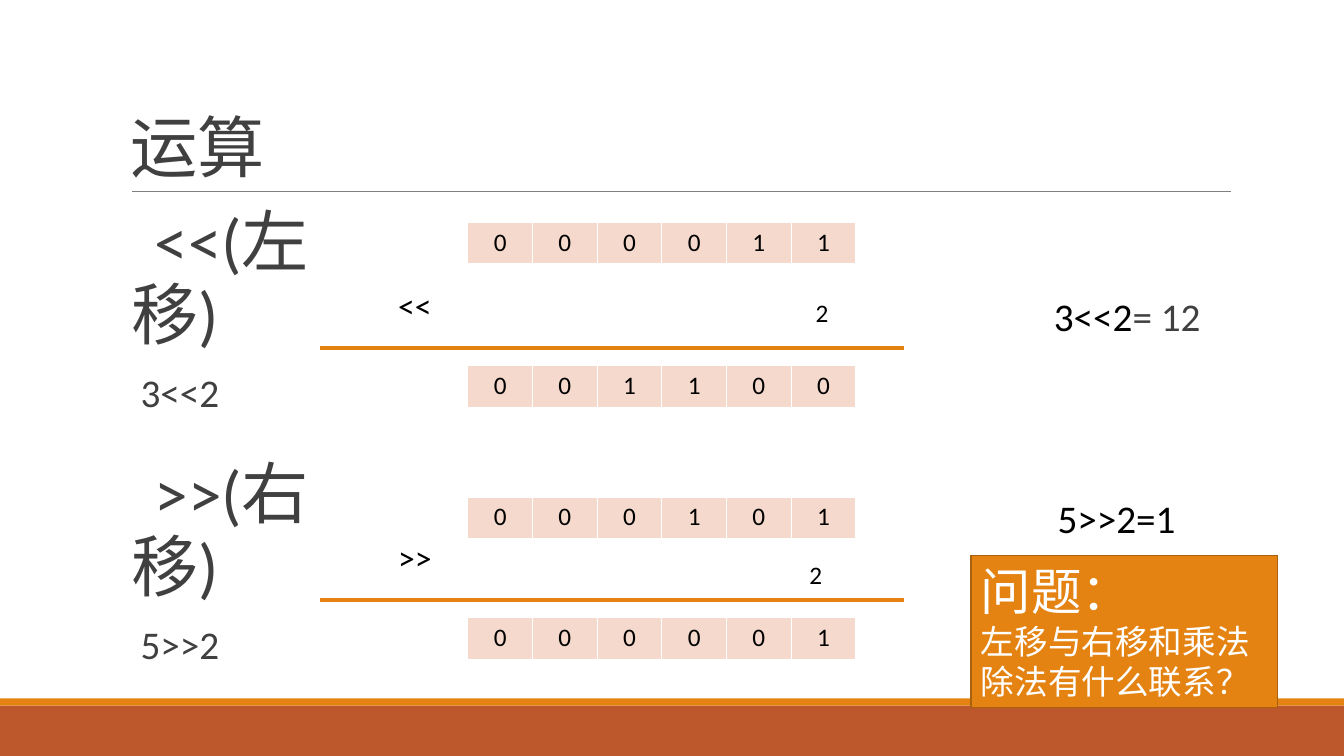
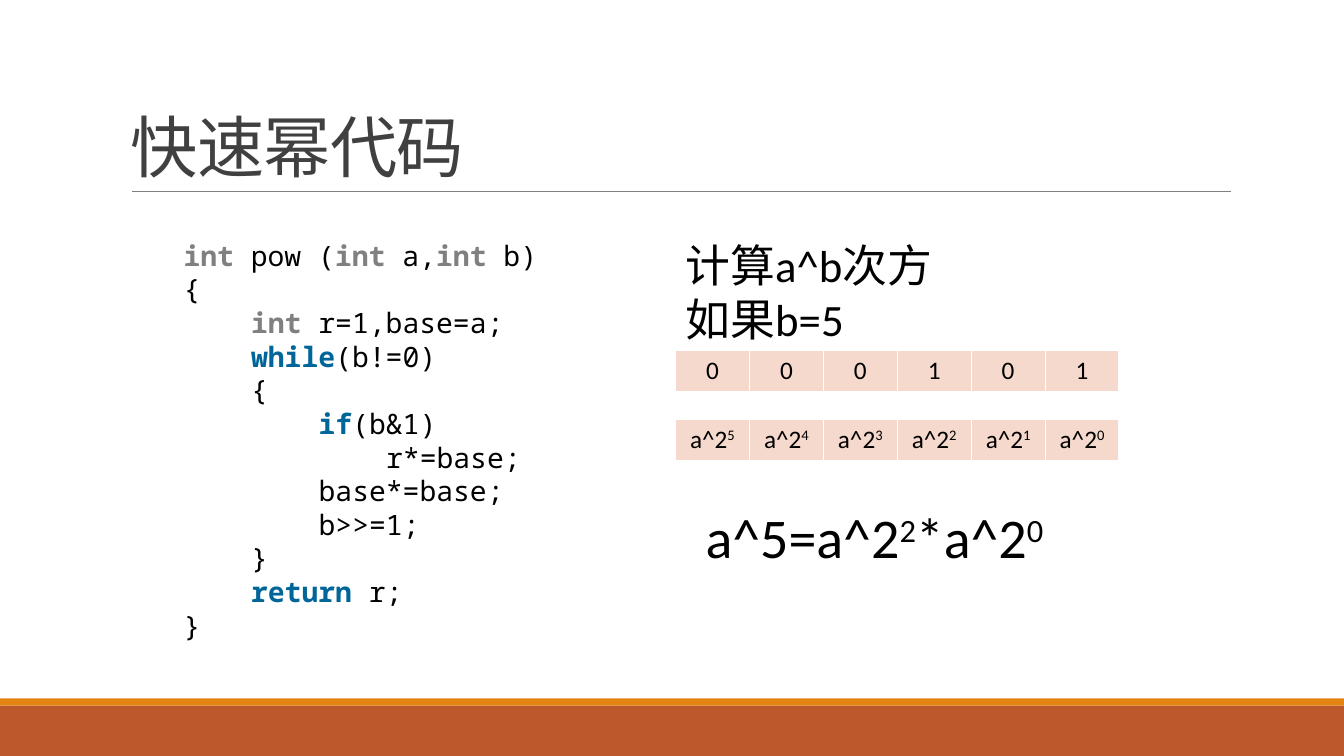
from lxml.etree import SubElement
from pptx import Presentation
from pptx.dml.color import RGBColor
from pptx.enum.shapes import MSO_CONNECTOR as Connector, MSO_SHAPE as Shape
from pptx.enum.text import MSO_ANCHOR as Anchor, PP_ALIGN as Align
from pptx.oxml.ns import qn
from pptx.util import Inches, Pt

RUST = RGBColor(0xBD, 0x58, 0x2C)
ORANGE = RGBColor(0xE4, 0x83, 0x12)
BROWN = RGBColor(0xA9, 0x61, 0x0D)
PEACH = RGBColor(0xF5, 0xD9, 0xCC)
GRAY = RGBColor(0x80, 0x80, 0x80)
CHARCOAL = RGBColor(0x40, 0x40, 0x40)
BLUE = RGBColor(0x00, 0x66, 0x99)
BLACK = RGBColor(0, 0, 0)
WHITE = RGBColor(0xFF, 0xFF, 0xFF)

BODY_FONT, TITLE_FONT, CODE_FONT = "Calibri", "Noto Sans CJK SC", "Noto Sans Mono"
PAGE_WIDTH, PAGE_HEIGHT = 13.33, 7.5
ROW_HEIGHT = 0.41
CODE_INDENT = 0.67
KEYWORDS = {"int": GRAY, "while": BLUE, "if": BLUE, "return": BLUE}
POWER_CODE = [
    (0, "int| pow (|int| a,|int| b)"),
    (0, "{"),
    (1, "int| r=1,base=a;"),
    (1, "while|(b!=0)"),
    (1, "{"),
    (2, "if|(b&1)"),
    (3, "r*=base;"),
    (2, "base*=base;"),
    (2, "b>>=1;"),
    (1, "}"),
    (1, "return| r;"),
    (0, "}"),
]


def add_text(slide, left, top, width, height, anchor=Anchor.TOP, side=0.1, edge=0.05):
    """Add a wrapping text box and return its text frame."""
    box = slide.shapes.add_textbox(Inches(left), Inches(top), Inches(width), Inches(height))
    frame = box.text_frame
    frame.word_wrap = True
    frame.vertical_anchor = anchor
    frame.margin_left = frame.margin_right = Inches(side)
    frame.margin_top = frame.margin_bottom = Inches(edge)
    return frame


def write(frame, pieces, size, color=BLACK, font=BODY_FONT):
    """Append a paragraph made of the given text pieces."""
    para = frame.add_paragraph() if frame.text else frame.paragraphs[0]
    para.alignment = Align.LEFT
    para.font.size = Pt(size)
    para.font.name = font
    para.font.color.rgb = color
    for piece in pieces:
        para.add_run().text = piece
    return para


def write_powers(frame, text, size):
    """Write text whose every second piece between bars is superscript."""
    para = write(frame, text.split("|"), size)
    for span in para.runs[1::2]:
        span.font._element.set("baseline", "30000")
    return para


def write_item(frame, pieces, size, color=CHARCOAL):
    """Write a list item led by a blank bullet."""
    para = write(frame, pieces, size, color)
    para.line_spacing = 0.9
    para.space_before, para.space_after = Pt(12), Pt(2)
    properties = para._p.get_or_add_pPr()
    properties.set("marL", str(Inches(0.1)))
    properties.set("indent", str(Inches(-0.1)))
    bullet = properties.makeelement(qn("a:buChar"), {"char": " "})
    properties.find(qn("a:defRPr")).addprevious(bullet)
    return para


def add_rectangle(slide, left, top, width, height, fill):
    """Add a filled rectangle without outline or shadow."""
    shape = slide.shapes.add_shape(
        Shape.RECTANGLE, Inches(left), Inches(top), Inches(width), Inches(height))
    shape.shadow.inherit = False
    shape.fill.solid()
    shape.fill.fore_color.rgb = fill
    shape.line.fill.background()
    return shape


def add_rule(slide, left, right, top, color, weight):
    """Add a horizontal line."""
    rule = slide.shapes.add_connector(
        Connector.STRAIGHT, Inches(left), Inches(top), Inches(right), Inches(top))
    rule.line.color.rgb = color
    rule.line.width = Pt(weight)
    SubElement(rule._element.spPr, qn("a:effectLst"))


def add_cells(slide, left, top, width, texts):
    """Add a one-row table of equally wide cells."""
    table = slide.shapes.add_table(
        1, len(texts), Inches(left), Inches(top), Inches(width), Inches(ROW_HEIGHT)).table
    table.first_row = table.horz_banding = False
    for cell, text in zip(table.iter_cells(), texts):
        cell.fill.solid()
        cell.fill.fore_color.rgb = PEACH
        write_powers(cell.text_frame, text, 18).alignment = Align.CENTER


def add_page(deck, title):
    """Add a slide with the footer bands, the title and its rule."""
    slide = deck.slides.add_slide(deck.slide_layouts[6])
    add_rectangle(slide, 0, 7, PAGE_WIDTH, 0.5, RUST)
    add_rectangle(slide, 0, 6.93, PAGE_WIDTH, 0.07, ORANGE)
    add_rule(slide, 1.31, 12.21, 1.9, GRAY, 0.5)
    para = write(add_text(slide, 1.2, 0.31, 11, 1.59, Anchor.BOTTOM),
                 [title], 48, CHARCOAL, TITLE_FONT)
    para.line_spacing = 0.85
    para.font._element.set("spc", "-50")
    return slide


def add_shift(slide, left, top, name, operator, number, operand, result,
              operand_top, count_left, count_top):
    """Lay out one shift as a written sum beside its name."""
    heading = add_text(slide, left, top, 2.65, 1.63, side=0)
    write_item(heading, [f"{operator}({name})"], 48)
    write_item(heading, [f"{number}{operator}2"], 28)
    add_cells(slide, left + 3.44, top + operand_top, 3.85, operand)
    write(add_text(slide, left + 2.65, top + 0.76, 0.54, 0.5), [operator], 24)
    write(add_text(slide, left + count_left, top + count_top, 0.51, 0.4), ["2"], 18)
    add_rule(slide, left + 1.97, left + 7.77, top + 1.43, ORANGE, 3)
    add_cells(slide, left + 3.44, top + 1.61, 3.85, result)


def add_question(slide, left, top, width, height):
    """Add the outlined question box."""
    shape = add_rectangle(slide, left, top, width, height, ORANGE)
    shape.line.color.rgb = BROWN
    shape.line.width = Pt(1.25)
    frame = shape.text_frame
    frame.word_wrap = True
    frame.vertical_anchor = Anchor.TOP
    write(frame, ["问题："], 36, WHITE)
    write(frame, ["左移与右移和乘法除法有什么联系？"], 24, WHITE)


def add_code(slide, left, top, width, height):
    """Add the power function with coloured keywords."""
    frame = add_text(slide, left, top, width, height, Anchor.MIDDLE, side=0, edge=0)
    for level, line in POWER_CODE:
        para = write(frame, line.split("|"), 20, BLACK, CODE_FONT)
        para._p.get_or_add_pPr().set("marL", str(Inches(level * CODE_INDENT)))
        for span in para.runs:
            if span.text in KEYWORDS:
                span.font.bold = True
                span.font.color.rgb = KEYWORDS[span.text]


def add_example(slide, left, top):
    """Add the worked example with its bits and powers."""
    frame = add_text(slide, left, top, 4.02, 1.18)
    write(frame, ["计算a^b次方"], 32)
    write(frame, ["如果b=5"], 32)
    add_cells(slide, left, top + 1.17, 4.4, "000101")
    add_cells(slide, left, top + 1.85, 4.4, [f"a^2|{power}" for power in range(5, -1, -1)])
    write_powers(add_text(slide, left + 0.2, top + 2.63, 4.2, 0.77), "a^5=a^2|2|*a^2|0", 40)


def build_shift_slide(deck):
    """Build the slide on left and right shifts."""
    slide = add_page(deck, "运算")
    add_shift(slide, 1.2, 2.02, "左移", "<<", 3, "000011", "001100", 0.19, 6.79, 0.88)
    add_shift(slide, 1.2, 4.52, "右移", ">>", 5, "000101", "000001", 0.41, 6.73, 0.98)
    answer = write_item(add_text(slide, 10.16, 2.9, 1.98, 0.53), ["3<<2", "= 12"], 28, BLACK)
    answer.runs[1].font.color.rgb = CHARCOAL
    write(add_text(slide, 10.39, 4.85, 1.98, 0.57), ["5>>2=1"], 28)
    add_question(slide, 9.63, 5.51, 3.04, 1.51)


def build_power_slide(deck):
    """Build the slide on fast exponentiation."""
    slide = add_page(deck, "快速幂代码")
    add_code(slide, 1.82, 2.31, 3.75, 4.11)
    add_example(slide, 6.7, 2.31)


def main():
    """Build and save the deck."""
    deck = Presentation()
    deck.slide_width, deck.slide_height = Inches(PAGE_WIDTH), Inches(PAGE_HEIGHT)
    build_shift_slide(deck)
    build_power_slide(deck)
    deck.save("out.pptx")


main()
